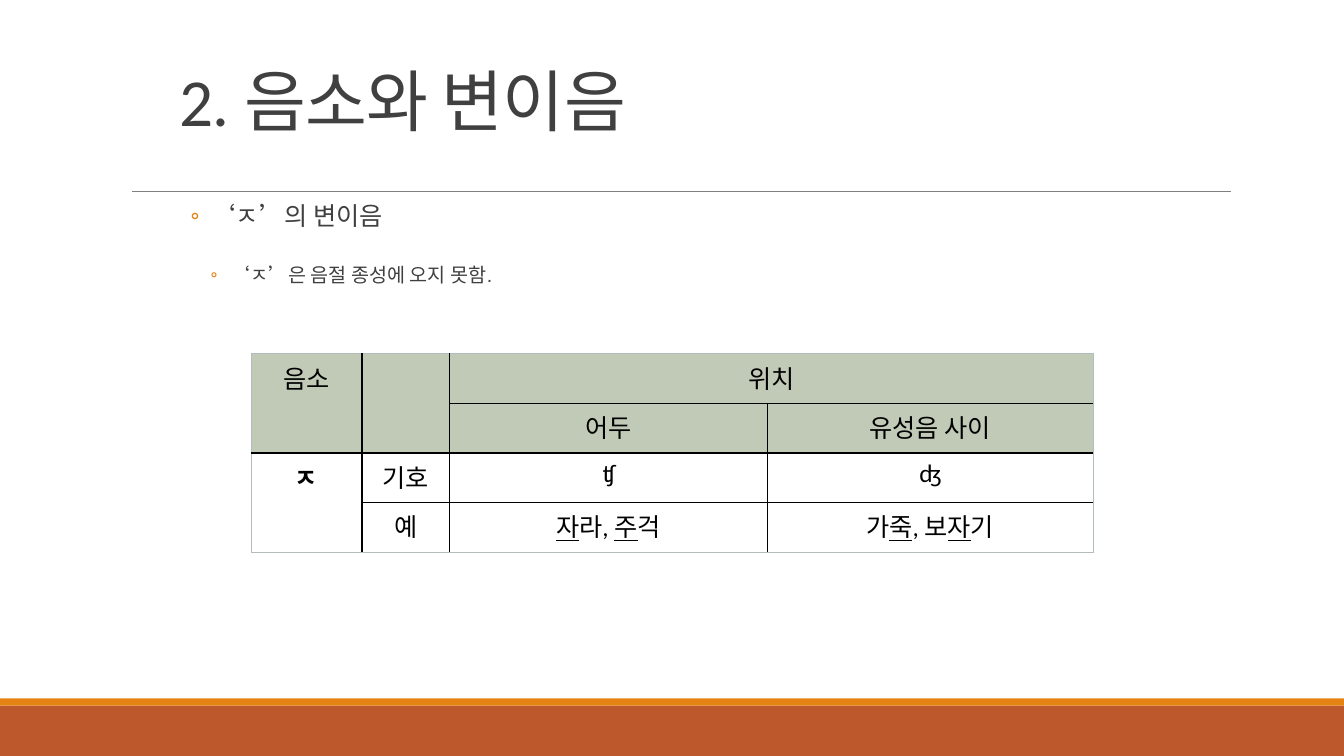
from pptx import Presentation
from pptx.dml.color import RGBColor
from pptx.enum.shapes import MSO_CONNECTOR, MSO_SHAPE
from pptx.enum.text import MSO_ANCHOR, PP_ALIGN
from pptx.oxml.ns import qn
from pptx.util import Inches, Pt
from lxml.etree import SubElement

RECTANGLE, STRAIGHT = MSO_SHAPE.RECTANGLE, MSO_CONNECTOR.STRAIGHT
LEFT, CENTER, BOTTOM = PP_ALIGN.LEFT, PP_ALIGN.CENTER, MSO_ANCHOR.BOTTOM
DARK, BLACK, ORANGE, RUST = "404040", "000000", "E48312", "BD582C"
HEADER, WHITE, RULE, OUTER = "C1CAB6", "FFFFFF", "808080", "B4BDBD"

# Underlined syllables stand between underscores.
ALLOPHONES = [
    ["음소", "", "위치", ""],
    ["", "", "어두", "유성음 사이"],
    ["ㅈ", "기호", "ʧ", "ʤ"],
    ["", "예", "_자_라, _주_걱", "가_죽_, 보_자_기"],
]
MERGES = [((0, 0), (1, 0)), ((0, 1), (1, 1)), ((0, 2), (0, 3)), ((2, 0), (3, 0))]
COLUMN_WIDTHS = [1.1, 0.87, 3.15, 3.23]


def color(code):
    """Turn a hex string into a colour."""
    return RGBColor.from_string(code)


def inches(box):
    """Turn left, top, width and height into lengths."""
    return [Inches(value) for value in box]


def style(span, size, code, face):
    """Set size, colour and font of a run."""
    span.font.size = Pt(size)
    span.font.color.rgb = color(code)
    span.font.name = face


def add_band(page, box, code):
    """Draw a plain filled band."""
    band = page.shapes.add_shape(RECTANGLE, *inches(box))
    band.shadow.inherit = False
    band.fill.solid()
    band.fill.fore_color.rgb = color(code)
    band.line.fill.background()


def add_frame(page, box):
    """Draw the footer bands and the rule under the title."""
    left, top, width, height = box
    bottom = top + height
    add_band(page, (left, bottom - 0.5, width, 0.5), RUST)
    add_band(page, (left, bottom - 0.57, width, 0.07), ORANGE)
    rule = page.shapes.add_connector(
        STRAIGHT, *inches((left + 1.31, top + 1.9, left + 12.21, top + 1.9)))
    rule.line.color.rgb = color(RULE)
    rule.line.width = Pt(0.5)
    SubElement(rule._element.spPr, qn("a:effectLst"))


def add_title(page, box, text):
    """Place and format the title placeholder."""
    title = page.shapes.title
    title.left, title.top, title.width, title.height = inches(box)
    frame = title.text_frame
    frame.text = text
    frame.vertical_anchor = BOTTOM
    para = frame.paragraphs[0]
    para.alignment = LEFT
    para.line_spacing = 0.85
    span = para.runs[0]
    style(span, 48, DARK, "Calibri")
    span.font._element.set("spc", "-50")


def add_points(page, box, points):
    """Write bulleted lines given as text, size, indent and space before."""
    frame = page.shapes.add_textbox(*inches(box)).text_frame
    frame.word_wrap = True
    frame.margin_left = frame.margin_right = 0
    for index, (text, size, indent, before) in enumerate(points):
        para = frame.add_paragraph() if index else frame.paragraphs[0]
        para.text = text
        para.line_spacing = 0.9
        para.space_before, para.space_after = Pt(before), Pt(4)
        style(para.runs[0], size, DARK, "Arial")
        properties = para._p.get_or_add_pPr()
        properties.set("marL", str(Inches(indent)))
        properties.set("indent", str(Inches(-0.2)))
        bullet_color = SubElement(properties, qn("a:buClr"))
        SubElement(bullet_color, qn("a:srgbClr"), val=ORANGE)
        SubElement(properties, qn("a:buFont"), typeface="Calibri")
        SubElement(properties, qn("a:buChar"), char="◦")


def set_borders(cell, outer_sides):
    """Give a cell black inner borders and pale thin outer ones."""
    properties = cell._tc.get_or_add_tcPr()
    for side in "LRTB":
        outer = side in outer_sides
        line = SubElement(properties, qn(f"a:ln{side}"), w=str(Pt(0.5 if outer else 1)))
        fill = SubElement(line, qn("a:solidFill"))
        SubElement(fill, qn("a:srgbClr"), val=OUTER if outer else BLACK)


def fill_cell(cell, text):
    """Write centred cell text, underlining the marked syllables."""
    para = cell.text_frame.paragraphs[0]
    para.alignment = CENTER
    for index, part in enumerate(text.split("_")):
        if part:
            span = para.add_run()
            span.text = part
            style(span, 18, BLACK, "Calibri")
            span.font.underline = index % 2 == 1
            span.font.bold = text == "ㅈ"


def add_allophones(page, box):
    """Build the table of allophones by position."""
    rows, columns = len(ALLOPHONES), len(COLUMN_WIDTHS)
    table = page.shapes.add_table(rows, columns, *inches(box)).table
    table.first_row = table.horz_banding = False
    for column, width in zip(table.columns, COLUMN_WIDTHS):
        column.width = Inches(width)
    for first, last in MERGES:
        table.cell(*first).merge(table.cell(*last))
    for r, texts in enumerate(ALLOPHONES):
        for c, text in enumerate(texts):
            cell = table.cell(r, c)
            edges = {"L": c == 0, "R": c + cell.span_width == columns,
                     "T": r == 0, "B": r + cell.span_height == rows}
            set_borders(cell, [side for side, outer in edges.items() if outer])
            cell.fill.solid()
            cell.fill.fore_color.rgb = color(HEADER if r < 2 else WHITE)
            fill_cell(cell, text)


deck = Presentation()
deck.slide_width, deck.slide_height = Inches(13.33), Inches(7.5)
page = deck.slides.add_slide(deck.slide_layouts[5])
add_frame(page, (0, 0, 13.33, 7.5))
add_title(page, (1.68, 0.36, 9, 1.08), "2. 음소와 변이음")
add_points(page, (1.67, 1.97, 10, 1.1), [
    ("‘ㅈ’의 변이음", 18, 0.42, 2),
    ("‘ㅈ’은 음절 종성에 오지 못함.", 14, 0.62, 21),
])
add_allophones(page, (2.49, 3.51, 8.35, 1.97))
deck.save("out.pptx")
